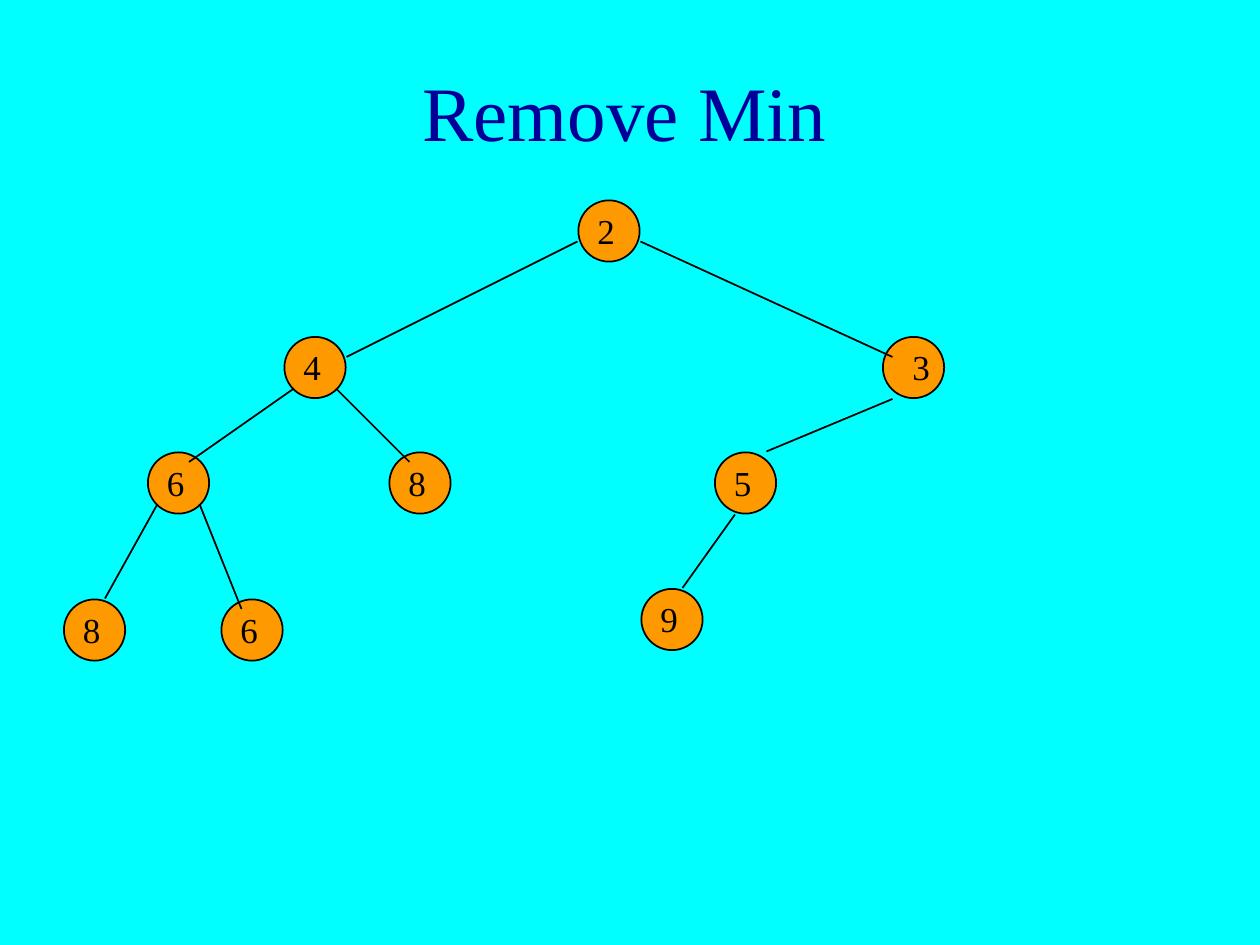
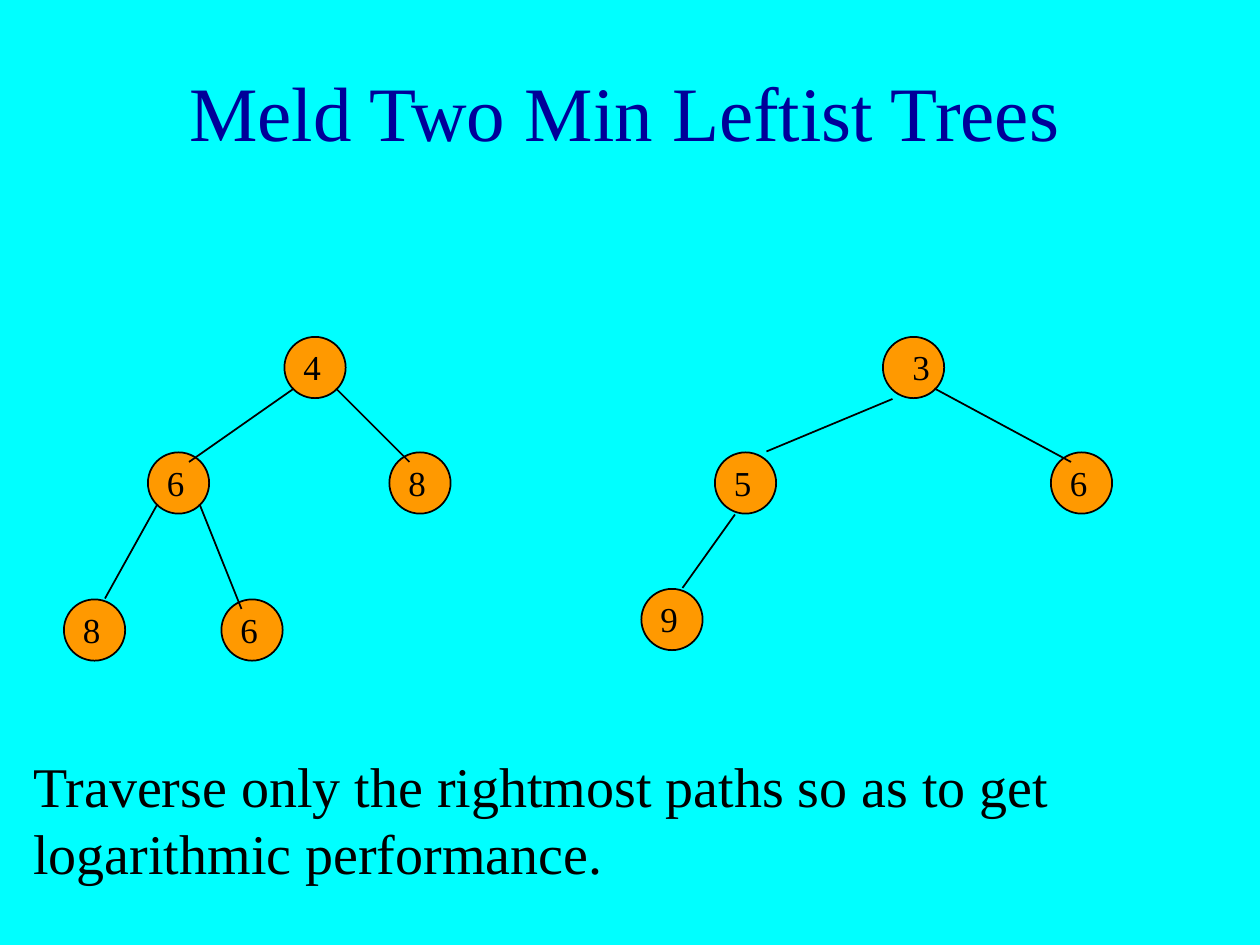
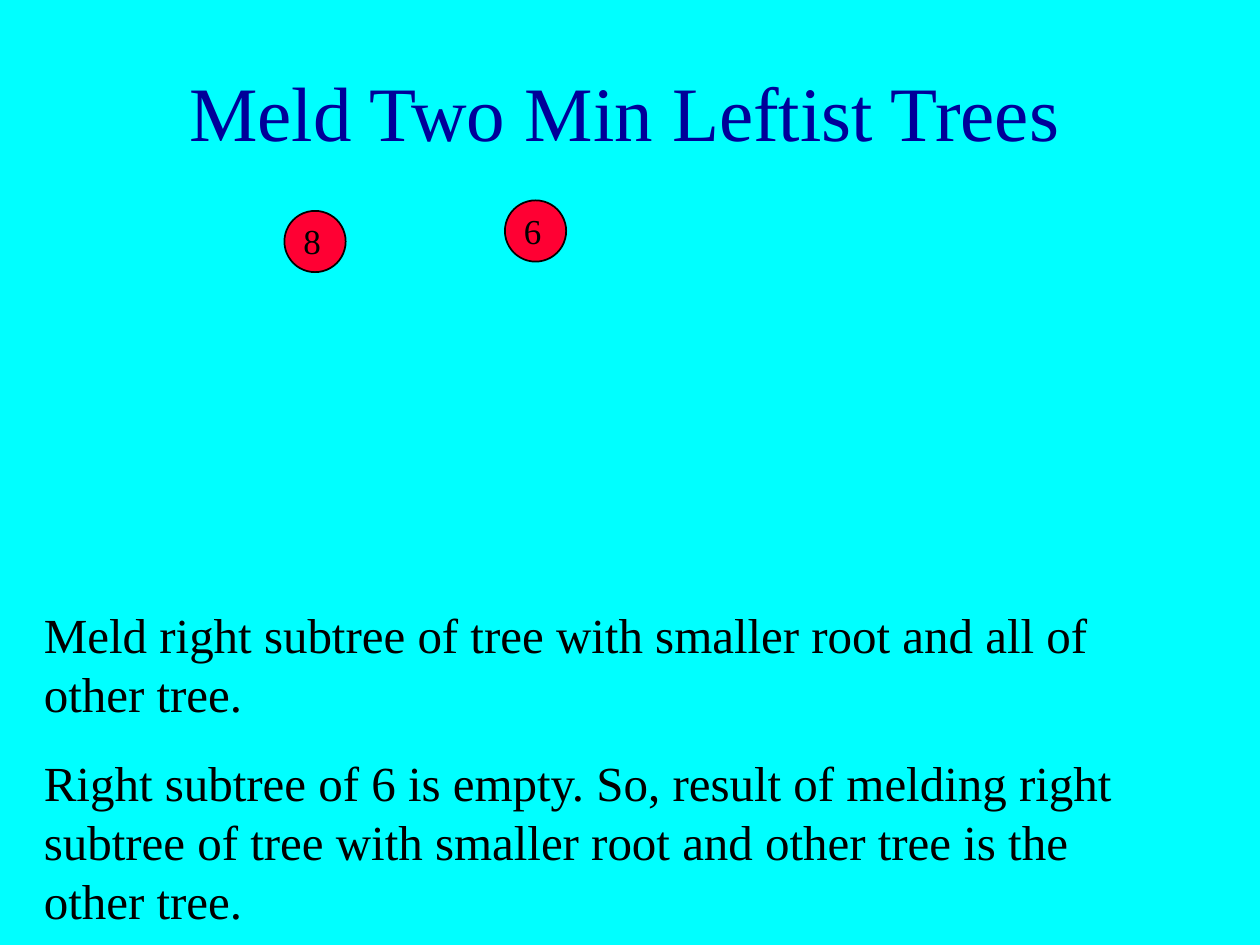
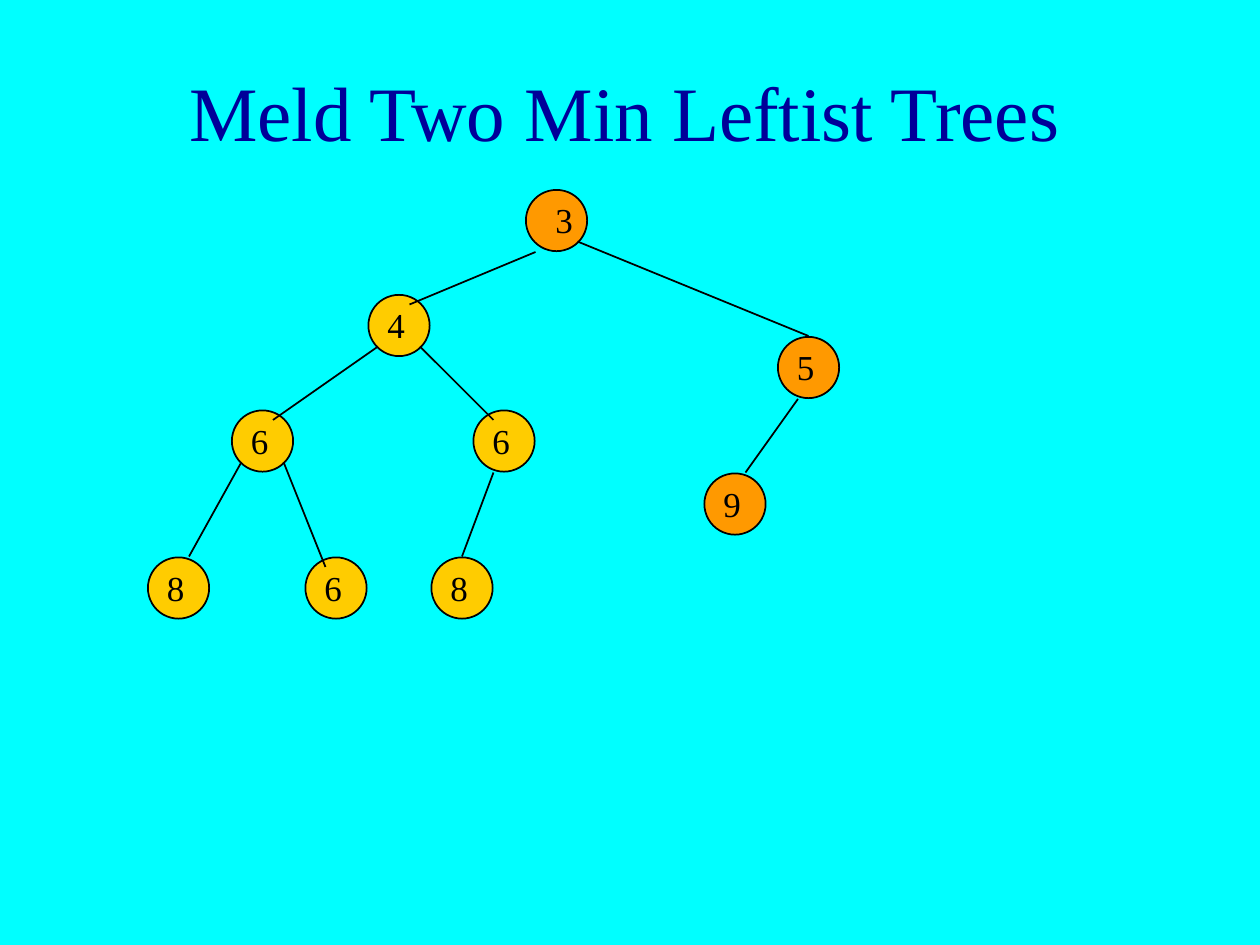
from dataclasses import dataclass

import pptx
import pptx.dml.color
import pptx.enum.shapes
import pptx.enum.text
import pptx.oxml
import pptx.oxml.ns
import pptx.util

Pt = pptx.util.Pt
Align = pptx.enum.text.PP_ALIGN
Anchor = pptx.enum.text.MSO_ANCHOR


@dataclass(frozen=True)
class Theme:
    font: str = "Times New Roman"
    background: str = "00FFFF"
    heading: str = "000099"
    ink: str = "000000"
    orange: str = "FF9900"
    yellow: str = "FFCC00"
    red: str = "FF0033"
    title_size: float = 44
    rule_size: float = 32
    steps_size: float = 28
    key_size: float = 20
    line_width: float = 1


@dataclass(frozen=True)
class Tree:
    """Nodes are (key, x, y) and edges (x1, y1, x2, y2), from the root's cell."""
    nodes: tuple
    edges: tuple = ()


THEME = Theme()
TITLE_BOX = (6, 18, 702, 90)
CELL = 36  # square cell that holds one node
KEY_BOX = (4.3, 2, 24.5, 31)
MELD_TITLE = "Meld Two Min Leftist Trees"

# Subtrees that recur across the slides
FIVE_TREE = Tree((("5", 0, 0), ("9", -42, 78)), ((12, 36, -18, 78),))


def four_tree(right_key):
    return Tree(
        (("4", 0, 0), ("6", -78, 66), (right_key, 60, 66),
         ("8", -126, 150), ("6", -36, 150)),
        ((6, 30, -54, 72), (30, 30, 72, 72),
         (-72, 96, -102, 150), (-48, 96, -24, 156)),
    )


def color(value):
    return pptx.dml.color.RGBColor.from_string(value)


def write(frame, *paragraphs, size, ink=THEME.ink, align=Align.LEFT,
          anchor=Anchor.TOP, wrap=True, gap=0):
    """Fill a text frame; gap is the space between paragraphs."""
    frame.word_wrap = wrap
    frame.vertical_anchor = anchor
    for index, text in enumerate(paragraphs):
        paragraph = frame.add_paragraph() if index else frame.paragraphs[0]
        paragraph.alignment = align
        paragraph.space_before = Pt(gap if index else 0)
        run = paragraph.add_run()
        run.text = text
        run.font.name = THEME.font
        run.font.size = Pt(size)
        run.font.color.rgb = color(ink)


def add_text(shapes, box, *paragraphs, **text_format):
    textbox = shapes.add_textbox(*map(Pt, box))
    write(textbox.text_frame, *paragraphs, **text_format)


def style_line(line):
    line.color.rgb = color(THEME.ink)
    line.width = Pt(THEME.line_width)


def draw_circle(shapes, x, y, fill):
    inset = THEME.line_width / 2
    circle = shapes.add_shape(
        pptx.enum.shapes.MSO_SHAPE.OVAL, Pt(x + inset), Pt(y + inset),
        Pt(CELL - 2 * inset), Pt(CELL - 2 * inset))
    circle.shadow.inherit = False
    circle.fill.solid()
    circle.fill.fore_color.rgb = color(fill)
    style_line(circle.line)


def draw_edge(shapes, x1, y1, x2, y2):
    edge = shapes.add_connector(
        pptx.enum.shapes.MSO_CONNECTOR.STRAIGHT, Pt(x1), Pt(y1), Pt(x2), Pt(y2))
    style_line(edge.line)
    properties = edge._element.find(pptx.oxml.ns.qn("p:spPr"))
    properties.append(pptx.oxml.parse_xml(
        f'<a:effectLst {pptx.oxml.ns.nsdecls("a")}/>'))


def draw_tree(shapes, left, top, tree, fill=THEME.orange, key_shift=0):
    """Draw circles, then edges, then keys, with the root's cell at left, top."""
    for _, x, y in tree.nodes:
        draw_circle(shapes, left + x, top + y, fill)
    for x1, y1, x2, y2 in tree.edges:
        draw_edge(shapes, left + x1, top + y1, left + x2, top + y2)
    key_left, key_top, key_width, key_height = KEY_BOX
    for key, x, y in tree.nodes:
        add_text(shapes, (left + x + key_left + key_shift, top + y + key_top,
                          key_width, key_height),
                 key, size=THEME.key_size, wrap=False)


def draw_three(shapes, left, top, *edges):
    draw_tree(shapes, left, top, Tree((("3", 0, 0),), edges), key_shift=6)


def draw_operands(shapes):
    """The two trees to be melded, without the right child of 3."""
    draw_tree(shapes, 162, 192, four_tree("8"))
    draw_tree(shapes, 408, 258, FIVE_TREE)
    draw_three(shapes, 504, 192, (6, 36, -66, 66))


def add_slide(prs, title):
    slide = prs.slides.add_slide(prs.slide_layouts[5])
    write(slide.shapes.title.text_frame, title, size=THEME.title_size,
          ink=THEME.heading, align=Align.CENTER, anchor=Anchor.MIDDLE)
    return slide.shapes


def remove_min_slide(prs):
    shapes = add_slide(prs, "Remove Min")
    draw_operands(shapes)
    draw_tree(shapes, 330, 114,
              Tree((("2", 0, 0),), ((0, 24, -132, 90), (36, 24, 180, 90))))


def operands_slide(prs):
    shapes = add_slide(prs, MELD_TITLE)
    trees = shapes.add_group_shape().shapes
    draw_operands(trees)
    draw_tree(trees, 600, 258, Tree((("6", 0, 0),), ((-66, -36, 12, 6),)))
    add_text(shapes, (12, 426, 630, 84),
             "Traverse only the rightmost paths so as to get logarithmic performance.",
             size=THEME.rule_size)


def smallest_meld_slide(prs):
    shapes = add_slide(prs, MELD_TITLE)
    draw_tree(shapes, 162, 120, Tree((("8", 0, 0),)), THEME.red)
    draw_tree(shapes, 288, 114, Tree((("6", 0, 0),)), THEME.red)
    add_text(shapes, (18, 342, 630, 193),
             "Meld right subtree of tree with smaller root and all of other tree.",
             "Right subtree of 6 is empty. So, result of melding right subtree of "
             "tree with smaller root and other tree is the other tree.",
             size=THEME.steps_size, gap=17.5)


def result_slide(prs):
    shapes = add_slide(prs, MELD_TITLE)
    draw_tree(shapes, 444, 192, FIVE_TREE)
    draw_tree(shapes, 210, 168, four_tree("6"), THEME.yellow)
    draw_tree(shapes, 246, 318, Tree((("8", 0, 0),), ((36, -48, 18, 0),)),
              THEME.yellow)
    draw_three(shapes, 300, 108, (6, 36, -66, 66), (30, 30, 162, 84))


def prepare_template(prs):
    """Set the shared background and title position."""
    prs.slide_width, prs.slide_height = Pt(720), Pt(540)
    background = prs.slide_master.background.fill
    background.solid()
    background.fore_color.rgb = color(THEME.background)
    title = prs.slide_layouts[5].placeholders[0]
    title.left, title.top, title.width, title.height = map(Pt, TITLE_BOX)


def main():
    prs = pptx.Presentation()
    prepare_template(prs)
    for build in (remove_min_slide, operands_slide, smallest_meld_slide, result_slide):
        build(prs)
    prs.save("out.pptx")


if __name__ == "__main__":
    main()
